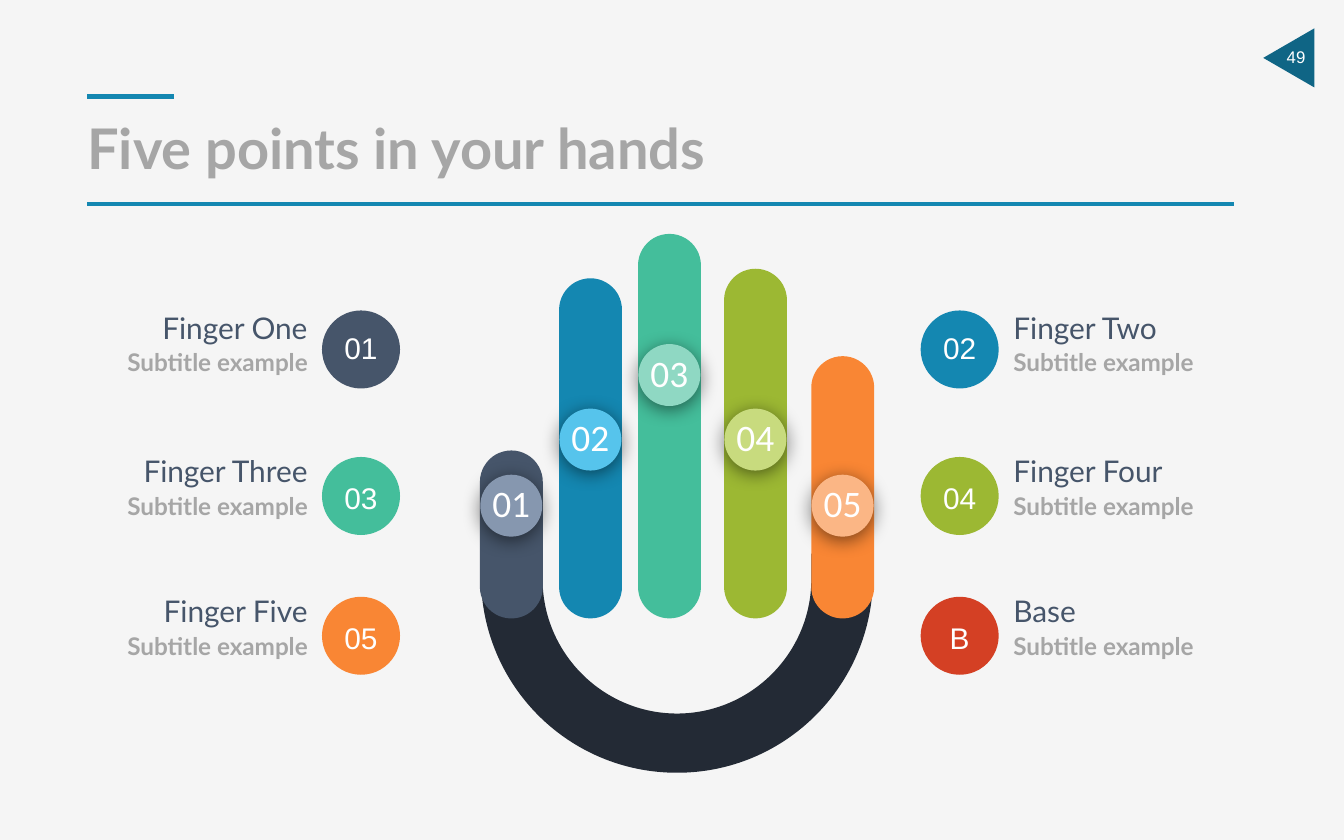
from dataclasses import dataclass

from lxml import etree
from pptx import Presentation
from pptx.dml.color import RGBColor
from pptx.enum.shapes import MSO_CONNECTOR, MSO_SHAPE
from pptx.enum.text import MSO_ANCHOR, MSO_AUTO_SIZE, PP_ALIGN
from pptx.oxml import parse_xml
from pptx.oxml.ns import nsdecls, qn
from pptx.util import Pt

LEFT, CENTER, RIGHT = PP_ALIGN.LEFT, PP_ALIGN.CENTER, PP_ALIGN.RIGHT
MIDDLE = MSO_ANCHOR.MIDDLE
NO_FIT = MSO_AUTO_SIZE.NONE
OVAL, ROUNDED = MSO_SHAPE.OVAL, MSO_SHAPE.ROUNDED_RECTANGLE
TRIANGLE = MSO_SHAPE.ISOSCELES_TRIANGLE
STRAIGHT = MSO_CONNECTOR.STRAIGHT


@dataclass(frozen=True)
class Theme:
    """Colours, fonts and type sizes of the slide."""
    back: str = "F5F5F5"
    white: str = "FFFFFF"
    grey: str = "A6A6A6"
    slate: str = "46556A"
    blue: str = "1487B1"
    teal: str = "44BE9B"
    green: str = "9CB833"
    orange: str = "F98634"
    red: str = "D44024"
    dark: str = "232A35"
    marker: str = "0F6585"
    slate_light: str = "8697AF"
    blue_light: str = "56C4EC"
    teal_light: str = "8FD8C3"
    green_light: str = "C8DB7E"
    orange_light: str = "FBB685"
    text_font: str = "Lato"
    badge_font: str = "Arial"
    bead_font: str = "Calibri"
    title_size: int = 30
    bead_size: int = 20
    label_size: int = 16
    sub_size: int = 13
    page_size: int = 9


T = Theme()

POINTS_LEFT = [("Finger One", "01", T.slate), ("Finger Three", "03", T.teal),
               ("Finger Five", "05", T.orange)]
POINTS_RIGHT = [("Finger Two", "02", T.blue), ("Finger Four", "04", T.green),
                ("Base", "B", T.red)]
ROWS = [(0, 5, 2), (77, 83.5, -2), (152, 158.4, -2)]

FINGERS = [("01", 0, 116, 129, T.slate, T.slate_light),
           ("02", 42.4, 23.8, 93.6, T.blue, T.blue_light),
           ("03", 84.7, 0, 59, T.teal, T.teal_light),
           ("04", 130.8, 18.7, 93.6, T.green, T.green_light),
           ("05", 177.5, 65.5, 129, T.orange, T.orange_light)]


def write(sp, text, font=T.text_font, size=T.label_size, color=T.white,
          bold=False, align=CENTER, wrap=True, lift=0):
    """Put one formatted line of text in a shape, raised by lift."""
    tf = sp.text_frame
    tf.auto_size = NO_FIT
    tf.word_wrap = wrap
    tf.vertical_anchor = MIDDLE
    tf.margin_left = tf.margin_right = 0
    tf.margin_top, tf.margin_bottom = Pt(max(-lift, 0)), Pt(max(lift, 0))
    p = tf.paragraphs[0]
    p.alignment = align
    r = p.add_run()
    r.text = text
    r.font.name = font
    r.font.size = Pt(size)
    r.font.bold = bold
    r.font.color.rgb = RGBColor.from_string(color)


def paint(sp, color):
    """Give a shape a flat fill without line or shadow."""
    sp.fill.solid()
    sp.fill.fore_color.rgb = RGBColor.from_string(color)
    sp.line.fill.background()
    sp.shadow.inherit = False


def add_shape(s, kind, x, y, w, h, color):
    """Add a flat preset shape."""
    sp = s.shapes.add_shape(kind, Pt(x), Pt(y), Pt(w), Pt(h))
    paint(sp, color)
    return sp


def add_text(s, x, y, w, h, text, **fmt):
    """Add a text box with one line."""
    sp = s.shapes.add_textbox(Pt(x), Pt(y), Pt(w), Pt(h))
    write(sp, text, **fmt)


def add_rule(s, x, y, length, weight):
    """Add a horizontal rule."""
    c = s.shapes.add_connector(STRAIGHT, Pt(x), Pt(y), Pt(x + length), Pt(y))
    c.line.color.rgb = RGBColor.from_string(T.blue)
    c.line.width = Pt(weight)
    etree.SubElement(c._element.spPr, qn("a:effectLst"))


def drop_shadow(sp):
    """Add a soft shadow below a shape."""
    effects = sp._element.spPr.find(qn("a:effectLst"))
    effects.append(parse_xml(
        f'<a:outerShdw {nsdecls("a")} blurRad="{Pt(10)}" dist="{Pt(2)}" '
        'dir="5400000" algn="ctr" rotWithShape="0"><a:srgbClr val="000000">'
        '<a:alpha val="50000"/></a:srgbClr></a:outerShdw>'))


def add_header(s, x, y, w, text):
    """Place the title between its short and long rules."""
    add_rule(s, x, y, 46.4, 3)
    add_rule(s, x, y + 57.6, w, 2)
    sp = s.shapes.title
    sp.left, sp.top, sp.width, sp.height = Pt(x), Pt(y + 13), Pt(w + 8), Pt(28)
    write(sp, text, size=T.title_size, color=T.grey, bold=True, align=LEFT)


def add_page_marker(s, x, y, number):
    """Place the page number on a triangle pointing left."""
    sp = add_shape(s, TRIANGLE, x, y, 31.7, 27.4, T.marker)
    sp.rotation = 270
    add_text(s, x + 14, y + 3.6, 11.5, 19.4, number, font=T.badge_font,
             size=T.page_size, wrap=False)


def add_points(s, x, y, points, badge_x, align):
    """Place a column of labels with numbered badges."""
    for (name, number, color), (label_dy, badge_dy, lift) in zip(points, ROWS):
        sp = add_shape(s, OVAL, x + badge_x, y + badge_dy, 41.8, 41.8, color)
        write(sp, number, font=T.badge_font, wrap=False, lift=lift)
        add_text(s, x, y + label_dy, 118, 28, name, color=T.slate, align=align)
        add_text(s, x, y + label_dy + 18.7, 118, 28, "Subtitle example",
                 size=T.sub_size, color=T.grey, bold=True, align=align)


def add_palm(s, x, y):
    """Draw the U-shaped base of the hand with four quarter curves."""
    outer = [(0, 70.6), (47, 117.4), (105, 117.4),
             (163, 117.4), (210, 70.6), (210, 12.2)]
    inner = [(177, 53.3), (144.6, 85.7), (105, 85.7),
             (65.4, 85.7), (33, 53.3), (33, 13.7)]
    points = [(0, 12.2), *outer, (210, 0), (177, 0), (177, 13.7), *inner,
              (33, 0)]
    fb = s.shapes.build_freeform(Pt(x), Pt(y), scale=1.0)
    fb.add_line_segments([(Pt(x + dx), Pt(y + dy)) for dx, dy in points])
    sp = fb.convert_to_shape()
    paint(sp, T.dark)
    lines = list(sp._element.iter(qn("a:lnTo")))
    for i in (points.index(c[k]) for c in (outer, inner) for k in (0, 3)):
        lines[i].tag = qn("a:cubicBezTo")
        for line in lines[i + 1:i + 3]:
            lines[i].append(line[0])
            line.getparent().remove(line)


def add_hand(s, x, y):
    """Draw the palm and five fingers with numbered beads."""
    add_palm(s, x + 0.6, y + 171.3)
    for number, dx, top, bead_top, color, light in FINGERS:
        finger = add_shape(s, ROUNDED, x + dx, y + top, 33.7, 206 - top, color)
        bead = add_shape(s, ROUNDED, x + dx + 0.2, y + bead_top, 33.2, 33.2,
                         light)
        finger.adjustments[0] = bead.adjustments[0] = 0.5
        drop_shadow(bead)
        write(bead, number, font=T.bead_font, size=T.bead_size, wrap=False,
              lift=3)


def main():
    """Build and save the slide."""
    prs = Presentation()
    prs.slide_width, prs.slide_height = Pt(720), Pt(450)
    s = prs.slides.add_slide(prs.slide_layouts[5])
    s.background.fill.solid()
    s.background.fill.fore_color.rgb = RGBColor.from_string(T.back)
    add_page_marker(s, 674.6, 17.3, "49")
    add_header(s, 46.8, 51.8, 614.2, "Five points in your hands")
    add_points(s, 46.8, 161.3, POINTS_LEFT, 125.7, RIGHT)
    add_points(s, 542.9, 161.3, POINTS_RIGHT, -49.7, LEFT)
    add_hand(s, 257.1, 125.3)
    prs.save("out.pptx")


if __name__ == "__main__":
    main()
